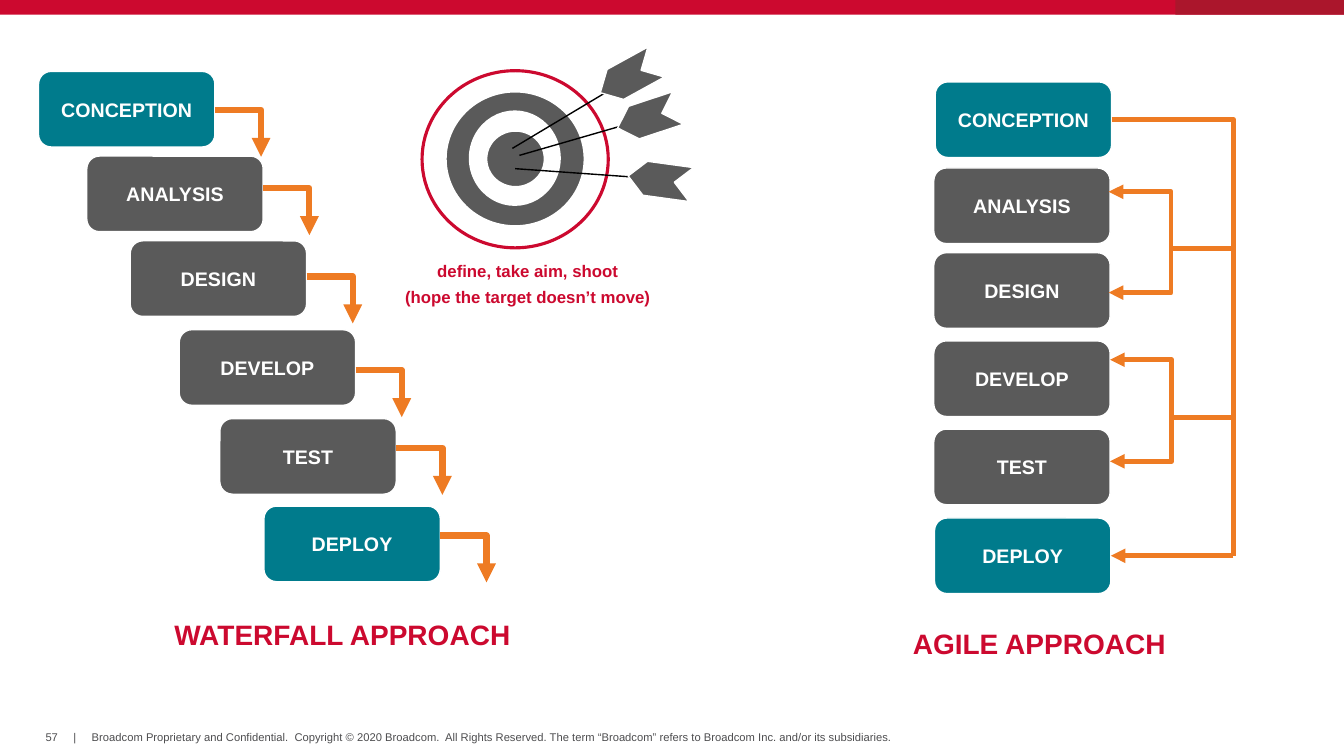
from lxml import etree
from pptx import Presentation
from pptx.dml.color import RGBColor
from pptx.enum import shapes, text
from pptx.oxml import ns
from pptx.util import Pt

RED, TEAL, GREY, ORANGE, WHITE = "CC092F", "007B8C", "5A5A5A", "EE7B23", "FFFFFF"
BLACK, INK, DARK = "000000", "4D4D4F", "AB162C"
KIND, LINK = shapes.MSO_SHAPE, shapes.MSO_CONNECTOR
LEFT, MID = text.PP_ALIGN.LEFT, text.PP_ALIGN.CENTER

BOX_W, BOX_H = 126, 54
STEPS = [("CONCEPTION", TEAL), ("ANALYSIS", GREY), ("DESIGN", GREY),
         ("DEVELOP", GREY), ("TEST", GREY), ("DEPLOY", TEAL)]
# left, top, height at which the arrow leaves the box
FALL = [(27.5, 51, 78.5), (62, 111.5, 134.5), (93, 172, 197.5),
        (128, 235.5, 264.5), (157, 299, 320), (188.5, 361.5, 382.5)]
DROP = (33, 33.5)
AGILE = [(668, 58.5), (667, 120), (667, 180.5),
         (667, 243.5), (667, 306.5), (667.5, 370)]
TRUNK = 881
# height at the trunk, left end, heights of the two arrows
FORKS = [(177.5, 792, (209, 137)), (298, 793, (329.5, 257))]

BARS = [((0, 0, 960, 10.5), RED), ((839.5, 0, 120.5, 10.5), DARK)]
RINGS = [((301.5, 50.5, 133, 126.5), WHITE, RED),
         ((318, 65, 100, 97), GREY, WHITE),
         ((336, 80, 63.5, 66), WHITE, WHITE),
         ((347, 93, 42.5, 41), GREY, WHITE)]
SHAFTS = [(366, 106, 442, 60.5), (371, 111, 461, 85), (368, 120.5, 466.5, 127.5)]
TAILS = [(426, 43, 151.2), (440, 72, 161.7), (448.5, 116.5, 187.8)]

FOOT = {"size": Pt(8), "bold": False}
HEAD = {"size": Pt(20), "bold": True}
NOTE = {"size": Pt(12), "bold": True}
STEP = {"size": Pt(14), "bold": True}
LABELS = [
    ((32.5, 522, 10, 9.5), ["57"], FOOT, INK, LEFT),
    ((65.5, 522, 577, 9.5),
     ["Broadcom Proprietary and Confidential.  Copyright © 2020 Broadcom.  "
      "All Rights Reserved. The term “Broadcom” refers to Broadcom Inc. "
      "and/or its subsidiaries."], FOOT, INK, LEFT),
    ((52.5, 522, 2.5, 9.5), ["|"], FOOT, INK, LEFT),
    ((124.5, 444, 242.5, 21.5), ["WATERFALL APPROACH"], HEAD, RED, LEFT),
    ((652, 450, 182, 21.5), ["AGILE APPROACH"], HEAD, RED, LEFT),
    ((288.5, 187.5, 177, 32.5),
     ["define, take aim, shoot", "(hope the target doesn’t move)"], NOTE, RED, MID),
]


def tint(hue):
    return RGBColor.from_string(hue)


def style(font, look, hue):
    for key, val in {"name": "Arial", **look}.items():
        setattr(font, key, val)
    font.color.rgb = tint(hue)


def shape(kind, place, fill, edge=None, width=1):
    part = page.shapes.add_shape(kind, *map(Pt, place))
    part.shadow.inherit = False
    part.fill.solid()
    part.fill.fore_color.rgb = tint(fill)
    if edge:
        part.line.color.rgb = tint(edge)
        part.line.width = Pt(width)
    else:
        part.line.fill.background()
    return part


def step(name, fill, left, top):
    """Add one named box of a process."""
    box = shape(KIND.ROUNDED_RECTANGLE, (left, top, BOX_W, BOX_H), fill, WHITE)
    frame = box.text_frame
    frame.vertical_anchor = text.MSO_ANCHOR.MIDDLE
    para = frame.paragraphs[0]
    para.text, para.alignment = name, MID
    style(para.font, STEP, WHITE)
    return box


def link(ends, hue, width, kind=LINK.STRAIGHT, arrow=False, corner=False):
    """Add a connector; corner gives it a single bend."""
    wire = page.shapes.add_connector(kind, *map(Pt, ends))
    wire.line.color.rgb = tint(hue)
    wire.line.width = Pt(width)
    props = wire._element.spPr
    if corner:
        props.find(ns.qn("a:prstGeom")).set("prst", "bentConnector2")
    if arrow:
        etree.SubElement(props.find(ns.qn("a:ln")), ns.qn("a:tailEnd"), type="triangle")
    etree.SubElement(props, ns.qn("a:effectLst"))
    return wire


def label(place, lines, look, hue, align):
    frame = page.shapes.add_textbox(*map(Pt, place)).text_frame
    frame.word_wrap = False
    for side in ("left", "top", "right", "bottom"):
        setattr(frame, "margin_" + side, 0)
    for num, line in enumerate(lines):
        para = frame.add_paragraph() if num else frame.paragraphs[0]
        para.text, para.alignment = line, align
        if look is not FOOT:
            para.line_spacing = 0.9
        if num:
            para.space_before = Pt(6)
        style(para.font, look, hue)


deck = Presentation()
deck.slide_width, deck.slide_height = Pt(960), Pt(540)
page = deck.slides.add_slide(deck.slide_layouts[6])

for place, fill in BARS:
    shape(KIND.RECTANGLE, place, fill)

for (name, fill), (left, top, _) in zip(STEPS, FALL):
    step(name, fill, left, top)
for left, _, high in FALL:
    start = left + BOX_W
    link((start, high, start + DROP[0], high + DROP[1]), ORANGE, 4.5,
         LINK.ELBOW, arrow=True, corner=True)

boxes = [step(*item, *spot) for item, spot in zip(STEPS, AGILE)]
first, last = AGILE[0], AGILE[-1]
low = last[1] + BOX_H / 2
link((first[0] + BOX_W, first[1] + BOX_H / 2, TRUNK, low), ORANGE, 3.5,
     LINK.ELBOW, corner=True)
back = link((TRUNK, low, last[0] + BOX_W, low), ORANGE, 3.5, arrow=True)
back.end_connect(boxes[-1], 3)
for high, end, tips in FORKS:
    for tip in tips:
        link((TRUNK, high, end, tip), ORANGE, 3.5, LINK.ELBOW, arrow=True)

for place, fill, edge in RINGS:
    shape(KIND.OVAL, place, fill, edge, 2.25)
for ends in SHAFTS:
    link(ends, BLACK, 1)
for left, top, turn in TAILS:
    shape(KIND.CHEVRON, (left, top, 45.5, 24.5), GREY, WHITE).rotation = turn

for item in LABELS:
    label(*item)

deck.save("out.pptx")
